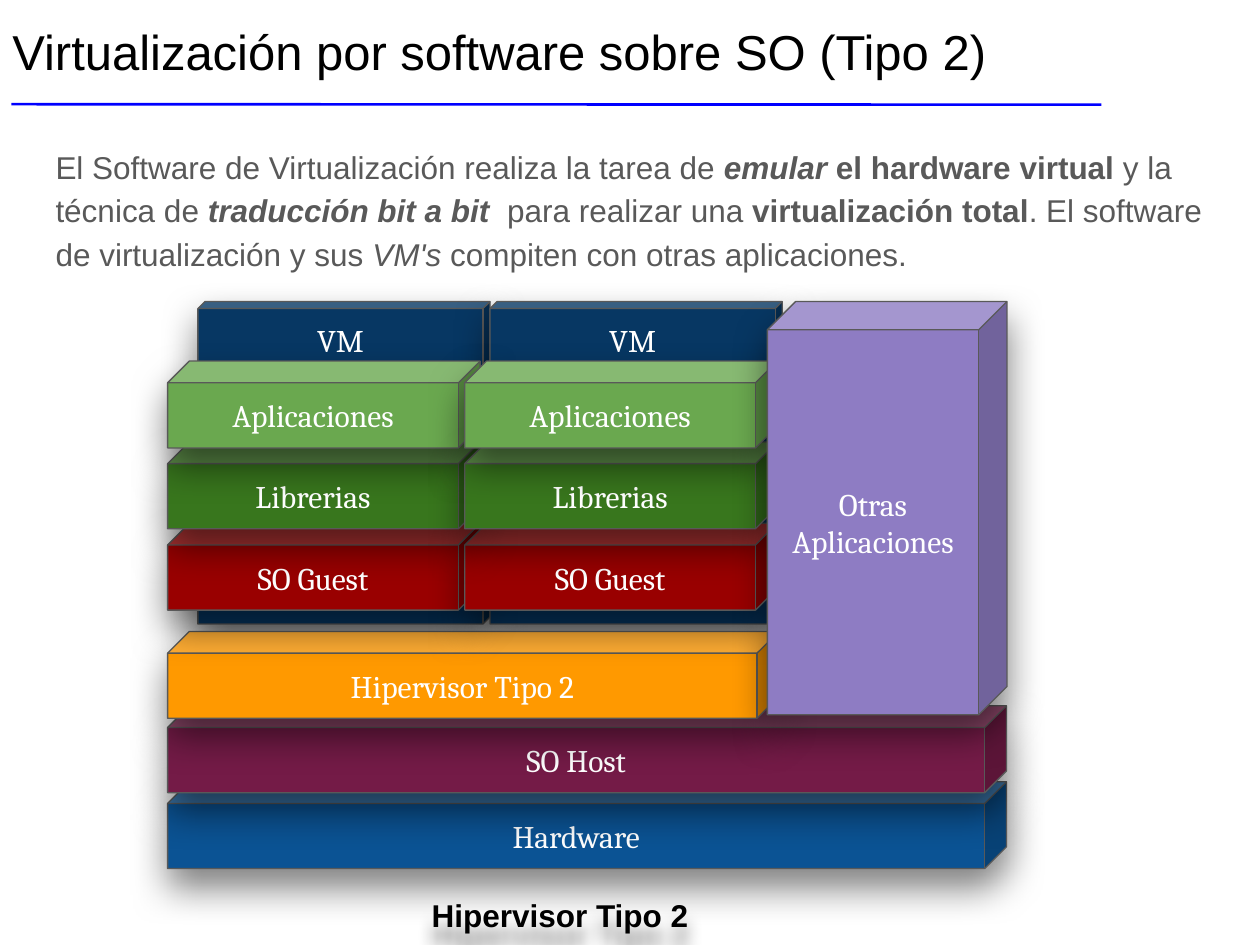
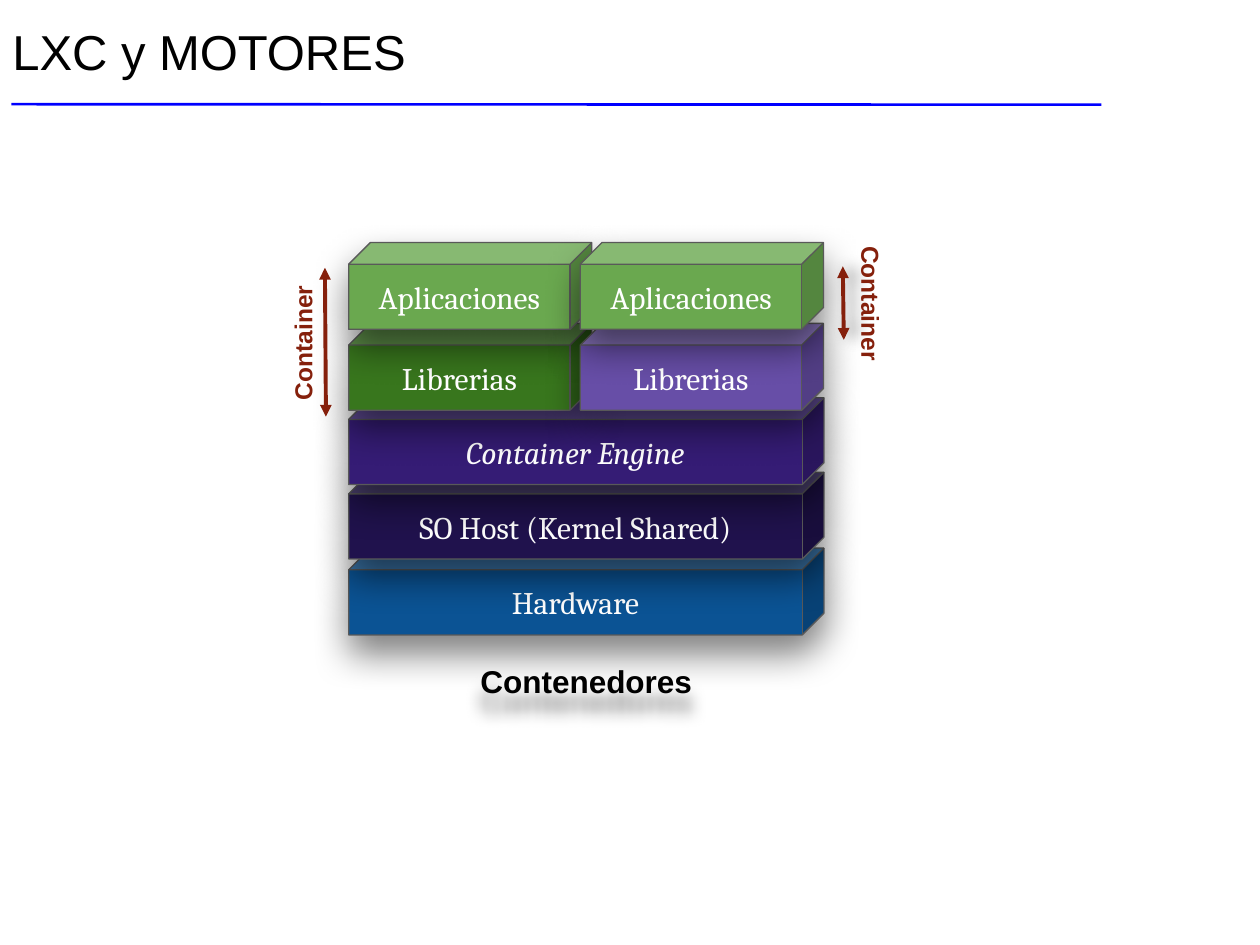
import pptx
import pptx.util
import pptx.dml.color
import pptx.enum.shapes
import pptx.enum.text
import pptx.oxml.ns
from lxml import etree

Cm = pptx.util.Cm
Pt = pptx.util.Pt
RGBColor = pptx.dml.color.RGBColor
ALIGN = pptx.enum.text.PP_ALIGN
ANCHOR = pptx.enum.text.MSO_ANCHOR
qn = pptx.oxml.ns.qn

BLACK = RGBColor(0x00, 0x00, 0x00)
WHITE = RGBColor(0xFF, 0xFF, 0xFF)
GREY = RGBColor(0x59, 0x59, 0x59)
RULE_BLUE = RGBColor(0x00, 0x00, 0xFF)
NAVY = RGBColor(0x07, 0x37, 0x63)
BLUE = RGBColor(0x0B, 0x53, 0x94)
WINE = RGBColor(0x74, 0x1B, 0x47)
ORANGE = RGBColor(0xFF, 0x99, 0x00)
RED = RGBColor(0x99, 0x00, 0x00)
DARK_GREEN = RGBColor(0x38, 0x76, 0x1D)
GREEN = RGBColor(0x6A, 0xA8, 0x4F)
LILAC = RGBColor(0x8E, 0x7C, 0xC3)
VIOLET = RGBColor(0x67, 0x4E, 0xA7)
INDIGO = RGBColor(0x35, 0x1C, 0x75)
NIGHT = RGBColor(0x20, 0x12, 0x4D)
BROWN = RGBColor(0x85, 0x20, 0x0C)

TITLE = {"name": "Arial", "size": Pt(28), "color": BLACK}
BODY = {"name": "Arial", "size": Pt(18), "color": GREY}
CAPTION = {"name": "Arial", "size": Pt(18), "bold": True, "color": BLACK}
BLOCK = {"name": "Cambria", "size": Pt(18), "color": WHITE}
SIDE_LABEL = {"name": "Arial", "size": Pt(14), "bold": True, "color": BROWN}
BOLD = {"bold": True}
ITALIC = {"italic": True}

LAYER_HEIGHT = 1.75
LAYER_RISES = (0, 1.53, 3.03)
COLUMN_STEP = 1.63
CAPTION_DROP = 2.05
BLOCK_SHADOW = (21.4, 10.5, 90)
CAPTION_SHADOW = (9, 10.5, 90)
ARROW_SHADOW = (9, 5.2, 0)


def set_effect(shape, shadow=None):
    """Replace the inherited effects by the given blur, distance and angle."""
    properties = shape._element.spPr
    effects = etree.SubElement(properties, qn("a:effectLst"))
    if shadow:
        blur, distance, angle = shadow
        outer = etree.SubElement(effects, qn("a:outerShdw"), {
            "blurRad": str(int(Pt(blur))), "dist": str(int(Pt(distance))),
            "dir": str(angle * 60000), "algn": "bl", "rotWithShape": "0"})
        color = etree.SubElement(outer, qn("a:srgbClr"), val=str(BLACK))
        etree.SubElement(color, qn("a:alpha"), val="50000")


def set_font(font, style):
    """Apply a dict of format values to a font."""
    for name, value in style.items():
        if name == "color":
            font.color.rgb = value
        else:
            setattr(font, name, value)


def write_text(shape, paragraphs, style, align=ALIGN.LEFT, anchor=ANCHOR.TOP):
    """Fill a shape with paragraphs, each a list of (text, extra style)."""
    frame = shape.text_frame
    margins = dict.fromkeys(
        ("margin_left", "margin_top", "margin_right", "margin_bottom"), Cm(0.25))
    for name, value in {**margins, "word_wrap": True, "vertical_anchor": anchor}.items():
        setattr(frame, name, value)
    for index, spans in enumerate(paragraphs):
        para = frame.add_paragraph() if index else frame.paragraphs[0]
        para.alignment = align
        for text, extra in spans:
            span = para.add_run()
            span.text = text
            set_font(span.font, {**style, **extra})


def add_text(page, box, paragraphs, style, **layout):
    """Add a text box at left, top, width, height in centimetres."""
    shape = page.shapes.add_textbox(*map(Cm, box))
    write_text(shape, paragraphs, style, **layout)
    return shape


def add_line(page, start, end, color, width, shadow=None):
    """Add a straight line between two points in centimetres."""
    line = page.shapes.add_connector(
        pptx.enum.shapes.MSO_CONNECTOR.STRAIGHT, *map(Cm, (*start, *end)))
    line.line.color.rgb = color
    line.line.width = Pt(width)
    set_effect(line, shadow)
    return line


def add_double_arrow(page, start, end, shadow=None):
    """Add a brown arrow with a head at both ends."""
    arrow = add_line(page, start, end, BROWN, 2.25, shadow)
    outline = arrow.line._get_or_add_ln()
    for end_name in ("a:headEnd", "a:tailEnd"):
        etree.SubElement(outline, qn(end_name), type="triangle")


def add_block(page, box, text, fill, depth=0.25, anchor=ANCHOR.MIDDLE, extra=None):
    """Add a labelled cube with a soft shadow."""
    cube = page.shapes.add_shape(pptx.enum.shapes.MSO_SHAPE.CUBE, *map(Cm, box))
    cube.adjustments[0] = depth
    cube.fill.solid()
    cube.fill.fore_color.rgb = fill
    cube.line.color.rgb = GREY
    cube.line.width = Pt(0.75)
    set_effect(cube, BLOCK_SHADOW)
    paragraphs = [[(line, extra or {})] for line in text.split("\n")]
    write_text(cube, paragraphs, BLOCK, align=ALIGN.CENTER, anchor=anchor)


def add_caption(page, left, stack_base, width, text):
    """Add the bold shadowed name below a stack."""
    caption = add_text(page, (left, stack_base + CAPTION_DROP, width, 1.35),
                       [[(text, {})]], CAPTION, align=ALIGN.CENTER)
    set_effect(caption, CAPTION_SHADOW)


def add_layers(page, left, stack_base, layers):
    """Pile the wide layers upwards from the hardware."""
    for rise, (text, fill, width, extra) in zip(LAYER_RISES, layers):
        add_block(page, (left, stack_base - rise, width, LAYER_HEIGHT), text, fill, extra=extra)


def add_column(page, left, top, width, library_fill):
    """Add libraries with applications on top."""
    add_block(page, (left, top + COLUMN_STEP, width, LAYER_HEIGHT), "Librerias", library_fill)
    add_block(page, (left, top, width, LAYER_HEIGHT), "Aplicaciones", GREEN)


def add_page(deck, title):
    """Add a blank page with the title and the blue rule."""
    page = deck.slides.add_slide(deck.slide_layouts[6])
    add_line(page, (0.23, 2.1), (22.2, 2.11), RULE_BLUE, 1.5)
    add_text(page, (0, 0.18, 23.67, 2.11), [[(title, {})]], TITLE)
    return page


def add_introduction(page, box):
    """Add the paragraph that explains software virtualization."""
    spans = [
        ("El Software de Virtualización realiza la tarea de ", {}),
        ("emular", {**BOLD, **ITALIC}),
        (" el hardware virtual", BOLD),
        (" y la técnica de ", {}),
        ("traducción bit a bit ", {**BOLD, **ITALIC}),
        (" para realizar una ", {}),
        ("virtualización total", BOLD),
        (". El software de virtualización y sus ", {}),
        ("VM's", ITALIC),
        (" compiten con otras aplicaciones.", {}),
    ]
    para = add_text(page, box, [spans], BODY).text_frame.paragraphs[0]
    para.line_spacing = 1.15
    para.space_after = Pt(16)


def add_hypervisor_stack(page, box):
    """Draw the virtual machines and other applications over the host."""
    left, top, width, height = box
    stack_base = top + height - LAYER_HEIGHT
    guest_lefts = (left, left + 5.99)
    for index in range(2):
        add_block(page, (left + 0.61 + index * 5.89, top, 5.89, 6.5), "VM", NAVY,
                  depth=0.024, anchor=ANCHOR.TOP)
    add_caption(page, left + 1.75, stack_base, 12.32, "Hipervisor Tipo 2")
    add_layers(page, left, stack_base, [
        ("Hardware", BLUE, width, {}),
        ("SO Host", WINE, width, {}),
        ("Hipervisor Tipo 2", ORANGE, 12.32, {}),
    ])
    for guest_left in guest_lefts:
        add_block(page, (guest_left, top + 4.47, 6.3, LAYER_HEIGHT), "SO Guest", RED)
    for guest_left in guest_lefts:
        add_column(page, guest_left, top + 1.2, 6.3, DARK_GREEN)
    add_block(page, (left + 12.09, top, 4.83, 8.33), "Otras\nAplicaciones", LILAC, depth=0.118)


def add_container_stack(page, box):
    """Draw the containers over the shared kernel, with their extents."""
    left, top, width, height = box
    stack_base = top + height - LAYER_HEIGHT
    add_caption(page, left, stack_base, width, "Contenedores")
    add_layers(page, left, stack_base, [
        ("Hardware", BLUE, width, {}),
        ("SO Host (Kernel Shared)", NIGHT, width, {}),
        ("Container Engine", INDIGO, width, ITALIC),
    ])
    for index, library_fill in enumerate((DARK_GREEN, VIOLET)):
        add_column(page, left + index * 4.67, top, 4.9, library_fill)
    add_double_arrow(page, (left - 0.48, top + 0.51), (left - 0.46, top + 3.51))
    add_double_arrow(page, (left + 9.96, top + 0.48), (left + 9.98, top + 1.96), ARROW_SHADOW)
    for label_left, label_top, angle in ((-2.44, 1.65, 270), (9.02, 0.86, 90)):
        label = add_text(page, (left + label_left, top + label_top, 3.02, 0.74),
                         [[("Container", {})]], SIDE_LABEL,
                         align=ALIGN.CENTER, anchor=ANCHOR.MIDDLE)
        label.rotation = angle


def main():
    """Build both pages and save the deck."""
    deck = pptx.Presentation()
    deck.slide_width = Cm(25.4)
    deck.slide_height = Cm(19.05)
    page = add_page(deck, "Virtualización por software sobre SO (Tipo 2)")
    add_introduction(page, (0.87, 2.62, 23.67, 2.87))
    add_hypervisor_stack(page, (3.38, 6.08, 16.91, 11.43))
    page = add_page(deck, "LXC y MOTORES")
    add_container_stack(page, (7.03, 4.89, 9.58, 7.91))
    deck.save("out.pptx")


if __name__ == "__main__":
    main()
